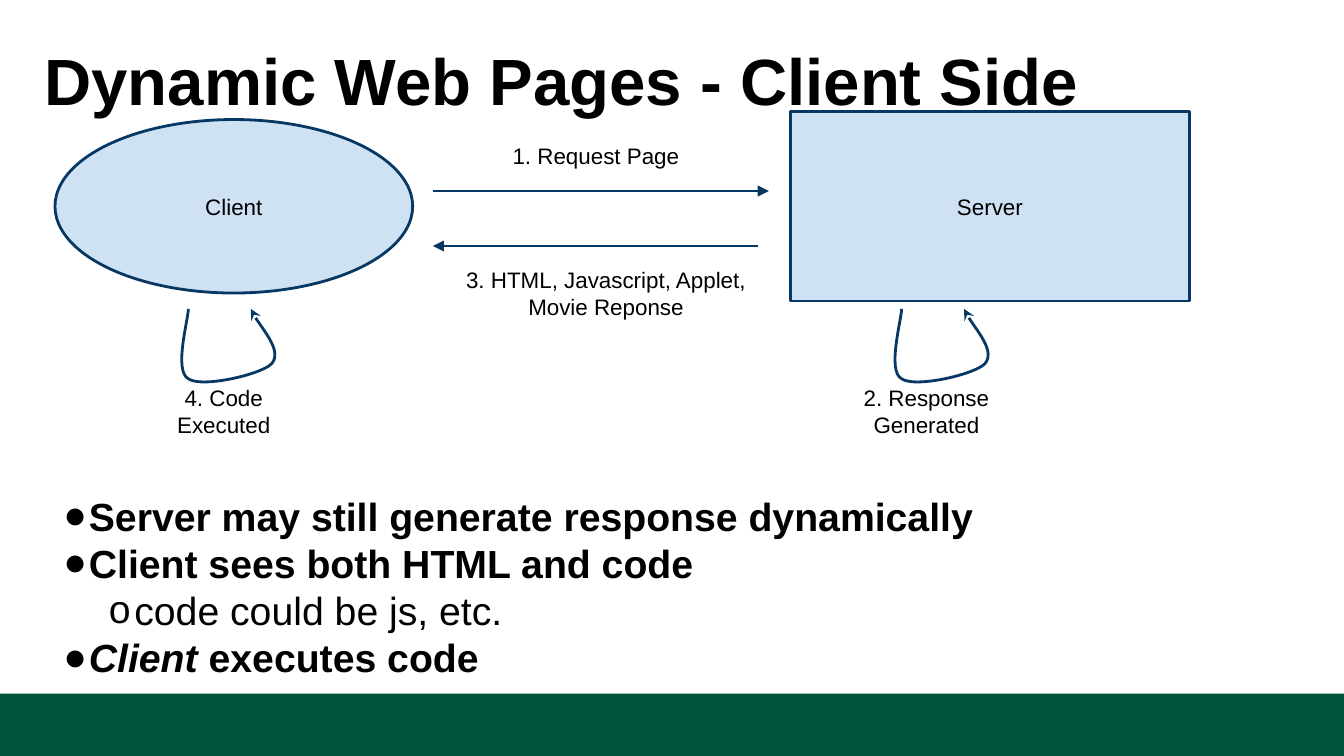
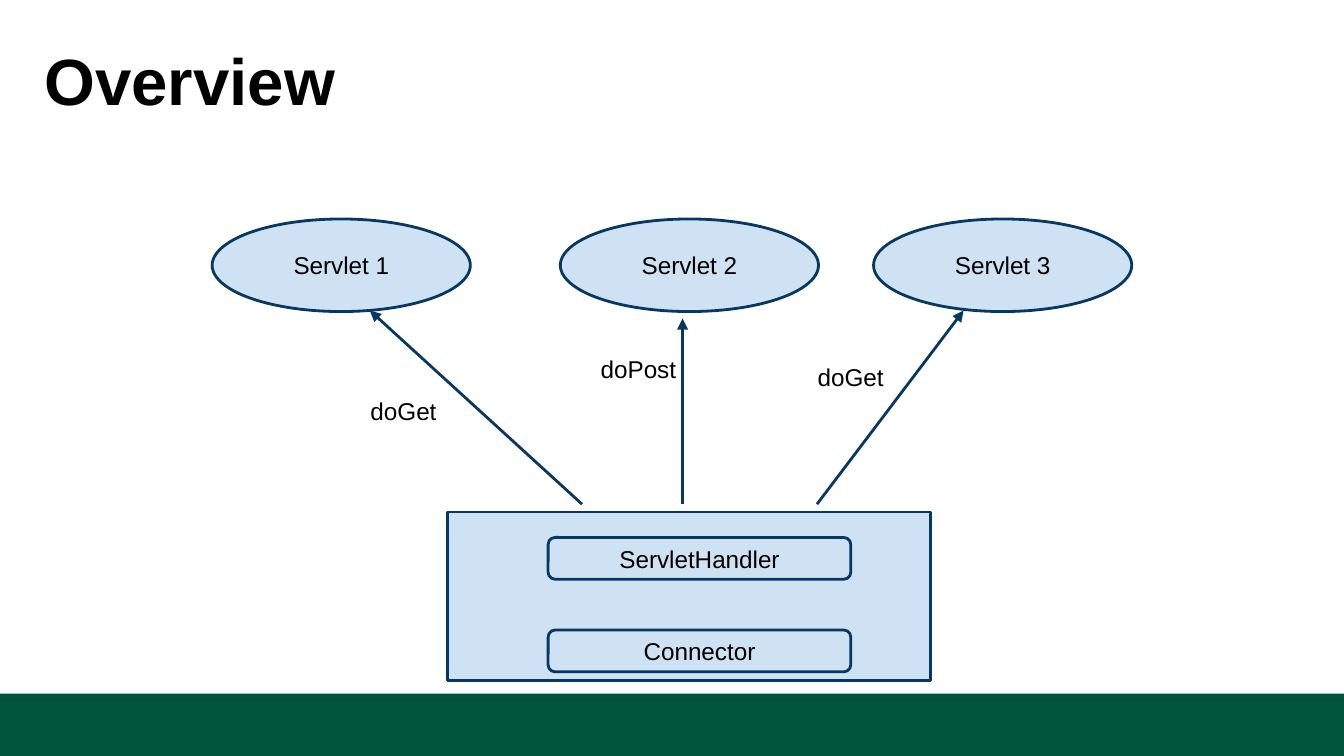
"""Build two slides on dynamic web pages and servlet dispatch."""
from lxml.etree import SubElement
from pptx import Presentation
from pptx.dml.color import RGBColor as RGB
from pptx.enum.shapes import MSO_CONNECTOR as LINK, MSO_SHAPE as SHAPE
from pptx.enum.text import MSO_ANCHOR as ANCHOR, PP_ALIGN as ALIGN
from pptx.oxml.ns import qn
from pptx.util import Cm, Pt

THEME = {
    "font": "Arial",
    "text": RGB.from_string("000000"),
    "band": RGB.from_string("00543C"),
    "fill": RGB.from_string("CFE2F3"),
    "line": RGB.from_string("073763"),
    "stroke": Pt(1.5),
    "title": Pt(35),
    "body": Pt(21),
    "body_pitch": Pt(25.2),
    "inset": Cm(0.25),
    "thin_inset": Cm(0.08),
}
SLIDE_SIZE = 25.4, 14.29
BAND = 0, 13.11, 25.4, 1.19
TITLE = 0.76, 0.57, 24.05, 1.85
BODY = 0.76, 9.22, 24.08, 4.3
BULLETS = [("●", 0.84), ("o", 1.7)]
HANGING = 0.48
LOOP = [(0, 0.2), (-0.28, 1.17), (0, 1.32),
        (0.25, 1.5), (1.37, 1.24), (1.57, 1.04),
        (1.78, 0.81), (1.24, 0.18), (1.18, 0)]

SERVLET_X = 4.01, 10.59, 16.51
MODULE_Y = {"ServletHandler": 10.16, "Connector": 11.91}

SLIDES = [
    {
        "title": "Dynamic Web Pages - Client Side",
        "size": Pt(12),
        "nodes": [
            (SHAPE.OVAL, "Client", (1.04, 2.26, 6.76, 3.28)),
            (SHAPE.RECTANGLE, "Server", (14.94, 2.11, 7.54, 3.58)),
        ],
        "arrows": [(8.18, 3.61, 14.53, 3.61), (14.33, 4.65, 8.18, 4.65)],
        "loops": [(17.04, 5.84), (3.56, 5.84)],
        "labels": [
            ("1. Request Page", (8.79, 2.57, 4.95, 0.74)),
            ("3. HTML, Javascript, Applet, Movie Reponse",
             (8.38, 4.34, 6.15, 2.39)),
            ("2. Response Generated", (15.72, 7.32, 3.58, 0.89)),
            ("4. Code Executed", (2.44, 7.32, 3.58, 0.89)),
        ],
        "body": [
            (0, [("Server may still generate response dynamically",
                  {"bold": True})]),
            (0, [("Client sees both HTML and code", {"bold": True})]),
            (1, [("code could be js, etc.", {"bold": False})]),
            (0, [("Client", {"bold": True, "italic": True}),
                 (" executes code", {"bold": True})]),
        ],
    },
    {
        "title": "Overview",
        "size": Pt(13),
        "nodes": [
            (SHAPE.RECTANGLE, "", (8.46, 9.68, 9.12, 3.18)),
            *((SHAPE.OVAL, f"Servlet {n}", (x, 4.14, 4.88, 1.75))
              for n, x in enumerate(SERVLET_X, 1)),
            *((SHAPE.ROUNDED_RECTANGLE, name, (10.36, y, 5.72, 0.79))
              for name, y in MODULE_Y.items()),
        ],
        "arrows": [(11, 9.53, 6.99, 5.87), (12.9, 9.53, 12.9, 6.02),
                   (15.44, 9.53, 18.21, 5.87)],
        "labels": [
            ("doGet", (5.72, 7.29, 3.81, 0.94)),
            ("doPost", (10.16, 6.5, 3.81, 0.94)),
            ("doGet", (14.17, 6.65, 3.81, 0.94)),
        ],
    },
]


def cm(values):
    return [Cm(v) for v in values]


def assign(obj, **formats):
    for name, value in formats.items():
        setattr(obj, name, value)


def place(sp, box):
    assign(sp, **dict(zip(("left", "top", "width", "height"), cm(box))))


def set_frame(tf, inset, anchor):
    margins = {f"margin_{side}": inset
               for side in ("left", "right", "top", "bottom")}
    assign(tf, word_wrap=True, vertical_anchor=anchor, **margins)


def add_run(p, text, size, **formats):
    r = p.add_run()
    r.text = text
    assign(r.font, name=THEME["font"], size=size, **formats)
    r.font.color.rgb = THEME["text"]


def center_text(sp, text, size):
    tf = sp.text_frame
    set_frame(tf, THEME["inset"], ANCHOR.MIDDLE)
    p = tf.paragraphs[0]
    p.alignment = ALIGN.CENTER
    add_run(p, text, size)


def set_line(sp, head=None):
    sp.line.color.rgb = THEME["line"]
    sp.line.width = THEME["stroke"]
    if head:
        ln = sp.element.spPr.find(qn("a:ln"))
        SubElement(ln, qn("a:tailEnd"), type=head)


def set_fill(sp, color):
    sp.shadow.inherit = False
    sp.fill.solid()
    sp.fill.fore_color.rgb = color


def add_node(s, kind, text, box, size):
    sp = s.shapes.add_shape(kind, *cm(box))
    set_fill(sp, THEME["fill"])
    set_line(sp)
    if text:
        center_text(sp, text, size)


def add_arrow(s, ends):
    link = s.shapes.add_connector(LINK.STRAIGHT, *cm(ends))
    set_line(link, "triangle")
    SubElement(link.element.spPr, qn("a:effectLst"))


def add_loop(s, x, y):
    builder = s.shapes.build_freeform(Cm(x), Cm(y))
    builder.add_line_segments([cm((x + dx, y + dy)) for dx, dy in LOOP],
                              close=False)
    sp = builder.convert_to_shape()
    sp.shadow.inherit = False
    sp.fill.background()
    set_line(sp, "stealth")
    outline = next(sp.element.iter(qn("a:path")))
    segments = outline.findall(qn("a:lnTo"))
    for i in range(0, len(segments), 3):
        curve = SubElement(outline, qn("a:cubicBezTo"))
        for segment in segments[i:i + 3]:
            curve.append(segment[0])
            outline.remove(segment)


def add_body(s, items):
    tf = s.shapes.add_textbox(*cm(BODY)).text_frame
    set_frame(tf, THEME["thin_inset"], ANCHOR.TOP)
    for i, (level, runs) in enumerate(items):
        p = tf.add_paragraph() if i else tf.paragraphs[0]
        assign(p, level=level, line_spacing=THEME["body_pitch"])
        char, indent = BULLETS[level]
        pPr = p._p.get_or_add_pPr()
        pPr.set("marL", str(Cm(indent)))
        pPr.set("indent", str(-Cm(HANGING)))
        SubElement(pPr, qn("a:buFont"), typeface=THEME["font"])
        SubElement(pPr, qn("a:buChar"), char=char)
        for text, formats in runs:
            add_run(p, text, THEME["body"], **formats)


def add_title(s, text):
    title = s.shapes.title
    place(title, TITLE)
    set_frame(title.text_frame, THEME["thin_inset"], ANCHOR.MIDDLE)
    p = title.text_frame.paragraphs[0]
    p.alignment = ALIGN.LEFT
    add_run(p, text, THEME["title"], bold=True)


def add_band(s):
    band = s.shapes.add_shape(SHAPE.RECTANGLE, *cm(BAND))
    set_fill(band, THEME["band"])
    band.line.fill.background()


def main():
    prs = Presentation()
    prs.slide_width, prs.slide_height = cm(SLIDE_SIZE)
    for content in SLIDES:
        s = prs.slides.add_slide(prs.slide_layouts[5])
        add_band(s)
        add_title(s, content["title"])
        for kind, text, box in content["nodes"]:
            add_node(s, kind, text, box, content["size"])
        for ends in content["arrows"]:
            add_arrow(s, ends)
        for start in content.get("loops", []):
            add_loop(s, *start)
        for text, box in content["labels"]:
            center_text(s.shapes.add_textbox(*cm(box)), text, content["size"])
        if "body" in content:
            add_body(s, content["body"])
    prs.save("out.pptx")


main()
